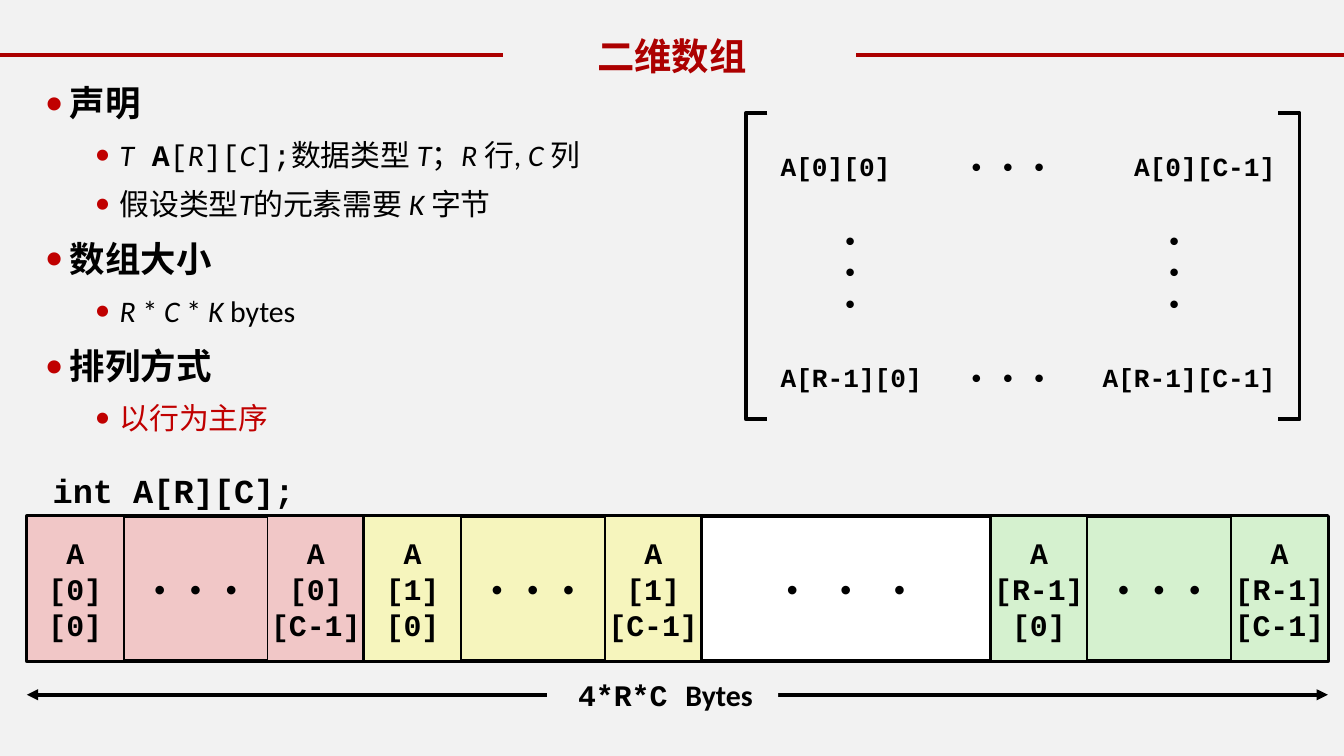
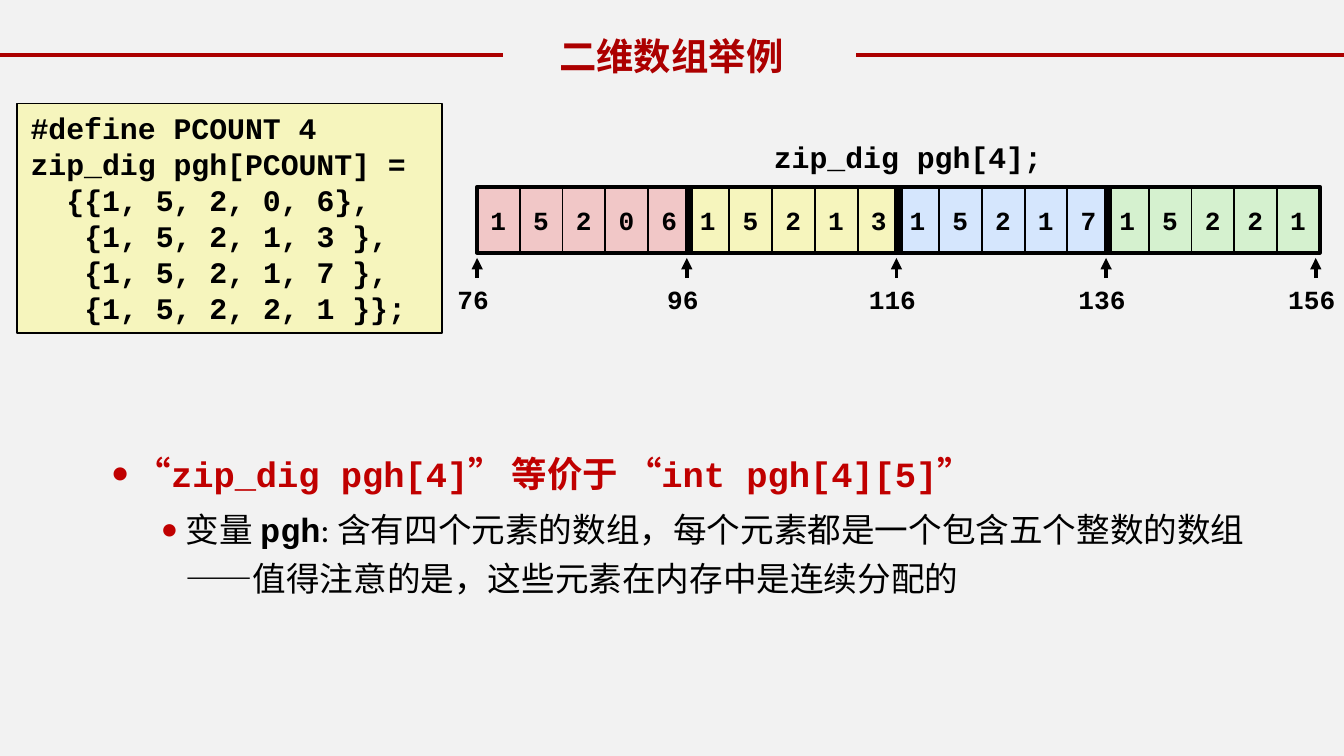
import pptx
import pptx.util
import pptx.dml.color
import pptx.enum.shapes
import pptx.enum.text
import pptx.oxml.ns
import lxml.etree

Inches = pptx.util.Inches
Pt = pptx.util.Pt
RGBColor = pptx.dml.color.RGBColor
ALIGN = pptx.enum.text.PP_ALIGN
MIDDLE = pptx.enum.text.MSO_ANCHOR.MIDDLE
TOP = pptx.enum.text.MSO_ANCHOR.TOP
qn = pptx.oxml.ns.qn

# Shared colours and fonts
PAPER = RGBColor(0xF2, 0xF2, 0xF2)
BAND = RGBColor(0xAC, 0x00, 0x00)
RED = RGBColor(0xC0, 0x00, 0x00)
BLACK = RGBColor(0x00, 0x00, 0x00)
WHITE = RGBColor(0xFF, 0xFF, 0xFF)
PINK = RGBColor(0xF1, 0xC7, 0xC7)
CREAM = RGBColor(0xF6, 0xF5, 0xBD)
GREEN = RGBColor(0xD5, 0xF1, 0xCF)
BLUE = RGBColor(0xD5, 0xE6, 0xFD)
SANS, MONO, HAN = "Calibri", "Courier New", "Noto Sans CJK SC"
DOTS = "• • •"

# Format values for runs
CODE = {"name": MONO, "bold": True, "italic": False}
THIN = {"name": MONO, "bold": False, "italic": False}
HEAD = {"name": SANS, "bold": True, "italic": False}
TEXT = {"name": SANS, "bold": False, "italic": False}
SLANT = {"name": SANS, "bold": False, "italic": True}


def style(run, size, fmt, color=BLACK):
    for key, val in {"size": Pt(size), **fmt}.items():
        setattr(run.font, key, val)
    run.font.color.rgb = color
    east = lxml.etree.Element(qn("a:ea"), typeface=HAN)
    run._r.rPr.find(qn("a:latin")).addnext(east)


def write(shape, lines, size, fmt=CODE, align=ALIGN.LEFT, color=BLACK):
    """Fill a shape with one paragraph per line of text."""
    text = shape.text_frame
    for num, line in enumerate(lines):
        para = text.add_paragraph() if num else text.paragraphs[0]
        para.alignment = align
        run = para.add_run()
        run.text = line
        style(run, size, fmt, color)


def place(shape, box):
    for key, val in zip(("left", "top", "width", "height"), box):
        setattr(shape, key, Inches(val))


def frame(shape, wrap=False, anchor=MIDDLE):
    vals = {"word_wrap": wrap, "vertical_anchor": anchor,
            "auto_size": pptx.enum.text.MSO_AUTO_SIZE.NONE}
    for key, val in vals.items():
        setattr(shape.text_frame, key, val)


def rect(slide, box, fill=None, line=None):
    kind = pptx.enum.shapes.MSO_SHAPE.RECTANGLE
    shape = slide.shapes.add_shape(kind, *map(Inches, box))
    shape.shadow.inherit = False
    if fill is None:
        shape.fill.background()
    else:
        shape.fill.solid()
        shape.fill.fore_color.rgb = fill
    if line is None:
        shape.line.fill.background()
    else:
        shape.line.color.rgb = BLACK
        shape.line.width = Pt(line)
    frame(shape)
    return shape


def label(slide, box, line, size, align=ALIGN.LEFT):
    shape = slide.shapes.add_textbox(*map(Inches, box))
    frame(shape, True, TOP)
    write(shape, [line], size, align=align)
    return shape


def rule(slide, start, end, color=BLACK, ends=()):
    kind = pptx.enum.shapes.MSO_CONNECTOR.STRAIGHT
    line = slide.shapes.add_connector(kind, *map(Inches, start + end))
    line.line.color.rgb = color
    line.line.width = Pt(2)
    for tag in ends:
        lxml.etree.SubElement(line.line._get_or_add_ln(), qn(tag),
                              type="triangle")
    lxml.etree.SubElement(line._element.spPr, qn("a:effectLst"))


def start(prs, name, box):
    """Add a slide with the title between its two red rules."""
    slide = prs.slides.add_slide(prs.slide_layouts[1])
    rule(slide, (0, 0.41), (3.74, 0.41), BAND)
    rule(slide, (6.37, 0.41), (10, 0.41), BAND)
    title = slide.shapes.title
    place(title, box)
    frame(title)
    write(title, [name], 20, {"name": HAN, "bold": True}, ALIGN.CENTER, BAND)
    return slide


def bullets(slide, box, items):
    """Fill the body with (level, size, colour, runs) items."""
    body = slide.placeholders[1]
    place(body, box)
    frame(body, True, TOP)
    for num, (level, size, color, runs) in enumerate(items):
        text = body.text_frame
        para = text.add_paragraph() if num else text.paragraphs[0]
        para.level = level
        para.line_spacing = 1.2
        props = para._p.get_or_add_pPr()
        props.set("marL", str(Inches((0.18, 0.55)[level])))
        props.set("indent", str(Inches(-0.18)))
        tint = lxml.etree.SubElement(props, qn("a:buClr"))
        lxml.etree.SubElement(tint, qn("a:srgbClr"), val=str(RED))
        lxml.etree.SubElement(props, qn("a:buSzPct"), val="80000")
        lxml.etree.SubElement(props, qn("a:buFont"), typeface=SANS)
        lxml.etree.SubElement(props, qn("a:buChar"), char="●")
        for words, fmt in runs:
            run = para.add_run()
            run.text = words
            style(run, size, fmt, color)


def matrix(slide, left, top):
    """Draw the R by C matrix between square brackets."""
    wide, high, lip = 4.12, 2.28, 0.16
    for side, turn in ((left, lip), (left + wide, -lip)):
        tip, edge = Inches(side + turn), Inches(side)
        upper, lower = Inches(top), Inches(top + high)
        path = slide.shapes.build_freeform(tip, upper)
        path.add_line_segments([(edge, upper), (edge, lower), (tip, lower)],
                               close=False)
        shape = path.convert_to_shape()
        shape.shadow.inherit = False
        shape.fill.background()
        shape.line.color.rgb = BLACK
        shape.line.width = Pt(2)
    for row, drop in (("0", 0.16), ("R-1", 1.73)):
        cells = ((f"A[{row}][0]", 0.16, 1.24, ALIGN.LEFT),
                 (DOTS, 1.56, 0.93, ALIGN.LEFT),
                 (f"A[{row}][C-1]", 2.8, 1.24, ALIGN.RIGHT))
        for words, shift, width, align in cells:
            cell = rect(slide, (left + shift, top + drop, width, 0.47), PAPER)
            write(cell, [words], 14, align=align)
    for shift in (0.62, 3.03):
        cell = rect(slide, (left + shift, top + 0.79, 0.47, 0.78), PAPER)
        write(cell, DOTS.split(), 14)


def memory(slide, left, top):
    """Draw the rows side by side in memory, with the total size."""
    row_w, cell_w, gap_w, high = 2.51, 0.72, 2.15, 1.08
    rows = (("0", 0, PINK), ("1", row_w, CREAM),
            ("R-1", 2 * row_w + gap_w, GREEN))
    for row, shift, fill in rows:
        side = left + shift
        block = rect(slide, (side, top, row_w, high), fill, 2.25)
        write(block, [DOTS], 16, align=ALIGN.CENTER)
        for col, move in (("0", 0), ("C-1", row_w - cell_w)):
            cell = rect(slide, (side + move, top, cell_w, high), fill, 1)
            write(cell, ["A", f"[{row}]", f"[{col}]"], 16, align=ALIGN.CENTER)
    gap = rect(slide, (left + 2 * row_w, top, gap_w, high), WHITE, 2)
    write(gap, [DOTS], 16, align=ALIGN.CENTER)
    gap.text_frame.paragraphs[0].runs[0]._r.rPr.set("spc", "480")

    # Size arrow and its label
    level = top + 1.33
    rule(slide, (left, level), (left + 3 * row_w + gap_w, level),
         ends=("a:headEnd", "a:tailEnd"))
    total = rect(slide, (left + 3.87, top + 1.12, 1.72, 0.42), PAPER)
    write(total, [" 4*R*C "], 16)
    unit = total.text_frame.paragraphs[0].add_run()
    unit.text = "Bytes"
    style(unit, 16, HEAD)


def source(slide, box):
    """Draw the code panel, each line with its indent in characters."""
    lines = ((0, "#define PCOUNT 4"), (0, "zip_dig pgh[PCOUNT] ="),
             (2, "{{1, 5, 2, 0, 6},"), (3, "{1, 5, 2, 1, 3 },"),
             (3, "{1, 5, 2, 1, 7 },"), (3, "{1, 5, 2, 2, 1 }};"))
    panel = rect(slide, box, CREAM, 1)
    frame(panel, True, TOP)
    write(panel, [words for _, words in lines], 16)
    for para, (count, _) in zip(panel.text_frame.paragraphs, lines):
        para._p.get_or_add_pPr().set("marL", str(Pt(9.6 * count)))


def digits(slide, left, top):
    """Draw four rows of five digits with their addresses."""
    step, row_w, high = 1.56, 1.59, 0.49
    cell_w = row_w / 5
    rows = (("15206", PINK), ("15213", CREAM),
            ("15217", BLUE), ("15221", GREEN))
    label(slide, (left + 2.11, top - 0.41, 2.49, 0.37), "zip_dig pgh[4];", 16)
    for num, (code, fill) in enumerate(rows):
        for col, digit in enumerate(code):
            side = left + num * step + col * cell_w
            write(rect(slide, (side, top, cell_w, high), fill, 1), [digit], 14)
    for num in range(len(rows)):
        rect(slide, (left + num * step, top, row_w, high), line=2.25)
    for num in range(len(rows) + 1):
        side = left + num * step
        rule(slide, (side, top + 0.68), (side, top + 0.53),
             ends=("a:tailEnd",))
        mark = label(slide, (side - 0.27, top + 0.67, 0.48, 0.34),
                     str(76 + 20 * num), 14, ALIGN.CENTER)
        mark.text_frame.margin_left = mark.text_frame.margin_right = 0


def arrays(prs):
    slide = start(prs, "二维数组", (4.17, 0.19, 1.66, 0.44))
    bullets(slide, (0.24, 0.49, 4.85, 3.68), (
        (0, 19, BLACK, [("声明", HEAD)]),
        (1, 16, BLACK, [
            ("T", SLANT), (" A", CODE), ("[", THIN), ("R", SLANT),
            ("][", THIN), ("C", SLANT), ("];", THIN), ("数据类型 ", TEXT),
            ("T", SLANT), ("；", TEXT), ("R ", SLANT), ("行, ", TEXT),
            ("C ", SLANT), ("列", TEXT)]),
        (1, 16, BLACK, [("假设类型", TEXT), ("T", SLANT),
                        ("的元素需要 ", TEXT), ("K ", SLANT),
                        ("字节", TEXT)]),
        (0, 19, BLACK, [("数组大小", HEAD)]),
        (1, 16, BLACK, [("R", SLANT), (" * ", TEXT), ("C ", SLANT),
                        ("* ", TEXT), ("K ", SLANT), ("bytes", TEXT)]),
        (0, 19, BLACK, [("排列方式", HEAD)]),
        (1, 16, RED, [("以行为主序", TEXT)])))
    matrix(slide, 5.55, 0.84)
    memory(slide, 0.2, 3.84)
    label(slide, (0.1, 3.45, 2.19, 0.51), "int A[R][C];", 18, ALIGN.RIGHT)


def example(prs):
    slide = start(prs, "二维数组举例", (4.03, 0.19, 1.93, 0.44))
    source(slide, (0.13, 0.77, 3.16, 1.71))
    digits(slide, 3.55, 1.39)
    bullets(slide, (0.73, 3.25, 8.75, 1.53), (
        (0, 19, RED, [("“", HEAD), ("zip_dig pgh[4]", CODE),
                      ("” 等价于 “", HEAD), ("int pgh[4][5]", CODE),
                      ("”", HEAD)]),
        (1, 18, BLACK, [
            ("变量 ", TEXT), ("pgh", CODE),
            (": 含有四个元素的数组，每个元素都是一个包含五个整数的数组"
             "——值得注意的是，这些元素在内存中是连续分配的", TEXT)])))


def main():
    prs = pptx.Presentation()
    # Wide screen, 16 to 9
    prs.slide_width, prs.slide_height = Inches(10), Inches(10 * 9 / 16)
    ground = prs.slide_master.background.fill
    ground.solid()
    ground.fore_color.rgb = PAPER
    arrays(prs)
    example(prs)
    prs.save("out.pptx")


if __name__ == "__main__":
    main()
